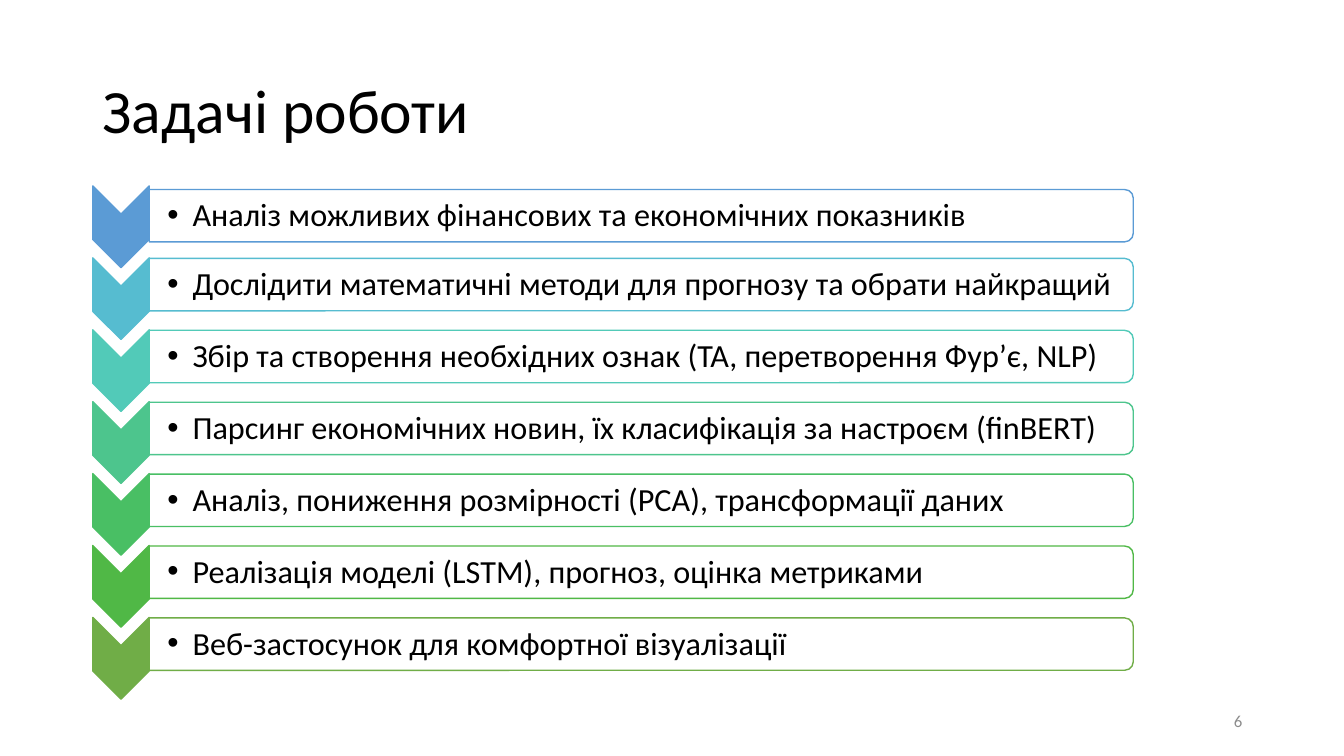
from pptx import Presentation
from pptx.dml.color import RGBColor
from pptx.enum.shapes import MSO_SHAPE as Shape
from pptx.enum.text import MSO_ANCHOR as Anchor, PP_ALIGN as Align
from pptx.oxml.ns import qn
from pptx.util import Inches, Pt
from lxml.etree import SubElement

FONT = "Calibri"
TASKS = [
    ("Аналіз можливих фінансових та економічних показників", "5B9BD5"),
    ("Дослідити математичні методи для прогнозу та обрати найкращий", "56BCD0"),
    ("Збір та створення необхідних ознак (TA, перетворення Фур’є, NLP)", "52CAB8"),
    ("Парсинг економічних новин, їх класифікація за настроєм (finBERT)", "4DC58D"),
    ("Аналіз, пониження розмірності (PCA), трансформації даних", "49BF64"),
    ("Реалізація моделі (LSTM), прогноз, оцінка метриками", "50B846"),
    ("Веб-застосунок для комфортної візуалізації", "70AD47"),
]
FIRST_CENTER, LAST_CENTER = 2.25, 6.53
BAR_RISE, TEXT_RISE, FIRST_BAR_DROP = 0.14, 0.37, 0.03


def color(value):
    """Turn a hex string into a colour."""
    return RGBColor.from_string(value)


def set_values(target, values):
    """Set every attribute of a dict on an object."""
    for name, value in values.items():
        setattr(target, name, value)


def write_text(shape, text, size, text_color, frame_values, paragraph_values, bullet=False):
    """Write one formatted paragraph into a shape."""
    frame = shape.text_frame
    set_values(frame, {"word_wrap": True, "vertical_anchor": Anchor.MIDDLE, **frame_values})
    frame.text = text
    paragraph = frame.paragraphs[0]
    set_values(paragraph, paragraph_values)
    if bullet:
        add_bullet(paragraph)
    set_values(paragraph.font, {"name": FONT, "size": Pt(size)})
    paragraph.font.color.rgb = color(text_color)


def add_bullet(paragraph):
    """Give a paragraph a hanging round bullet."""
    properties = paragraph._p.get_or_add_pPr()
    properties.set("marL", str(Inches(0.25)))
    properties.set("indent", str(-Inches(0.25)))
    SubElement(properties, qn("a:buFont")).set("typeface", "Arial")
    SubElement(properties, qn("a:buChar")).set("char", "•")


def add_turned_shape(slide, kind, center_x, center_y, width, height, fill, line):
    """Add a shape turned a quarter clockwise around its centre."""
    shape = slide.shapes.add_shape(
        kind, Inches(center_x - width / 2), Inches(center_y - height / 2),
        Inches(width), Inches(height))
    shape.rotation = 90
    shape.shadow.inherit = False
    shape.fill.solid()
    shape.fill.fore_color.rgb = color(fill)
    shape.line.color.rgb = color(line)
    shape.line.width = Pt(1)
    return shape


def set_opacity(shape, percent):
    """Make the solid fill of a shape partly transparent."""
    fill_color = shape._element.spPr.find(qn("a:solidFill"))[0]
    SubElement(fill_color, qn("a:alpha")).set("val", str(percent * 1000))


def add_text_box(slide, left, top, width, height):
    """Add an empty text box."""
    return slide.shapes.add_textbox(Inches(left), Inches(top), Inches(width), Inches(height))


def add_title(slide, text):
    """Move, fill and format the title placeholder."""
    title = slide.shapes.title
    set_values(title, {"left": Inches(0.92), "top": Inches(0.4),
                       "width": Inches(11.5), "height": Inches(1.45)})
    write_text(title, text, 44, "000000", {}, {"alignment": Align.LEFT, "line_spacing": 0.9})


def add_task(slide, index, text, accent):
    """Add one step: chevron, outlined bar and bulleted text."""
    center = FIRST_CENTER + index * (LAST_CENTER - FIRST_CENTER) / (len(TASKS) - 1)
    drop = 0 if index else FIRST_BAR_DROP
    add_turned_shape(slide, Shape.CHEVRON, 1.2, center, 0.81, 0.56, accent, accent)
    bar = add_turned_shape(slide, Shape.ROUND_2_SAME_RECTANGLE, 6.36,
                           center - BAR_RISE + drop, 0.52, 9.76, "FFFFFF", accent)
    set_opacity(bar, 90)
    box = add_text_box(slide, 1.48, center - TEXT_RISE + drop, 9.74, 0.47)
    margins = {"margin_left": Inches(0.18), "margin_right": Inches(0.02),
               "margin_top": Inches(0.02), "margin_bottom": Inches(0.02)}
    write_text(box, text, 23, "000000", margins, {"line_spacing": 0.9}, bullet=True)


def main():
    """Build and save the slide."""
    presentation = Presentation()
    presentation.slide_width, presentation.slide_height = Inches(13.33), Inches(7.5)
    slide = presentation.slides.add_slide(presentation.slide_layouts[5])
    add_title(slide, "Задачі роботи")
    for index, (text, accent) in enumerate(TASKS):
        add_task(slide, index, text, accent)
    number = add_text_box(slide, 9.42, 6.95, 3, 0.4)
    write_text(number, "6", 12, "8C8C8C", {}, {"alignment": Align.RIGHT})
    presentation.save("out.pptx")


if __name__ == "__main__":
    main()
